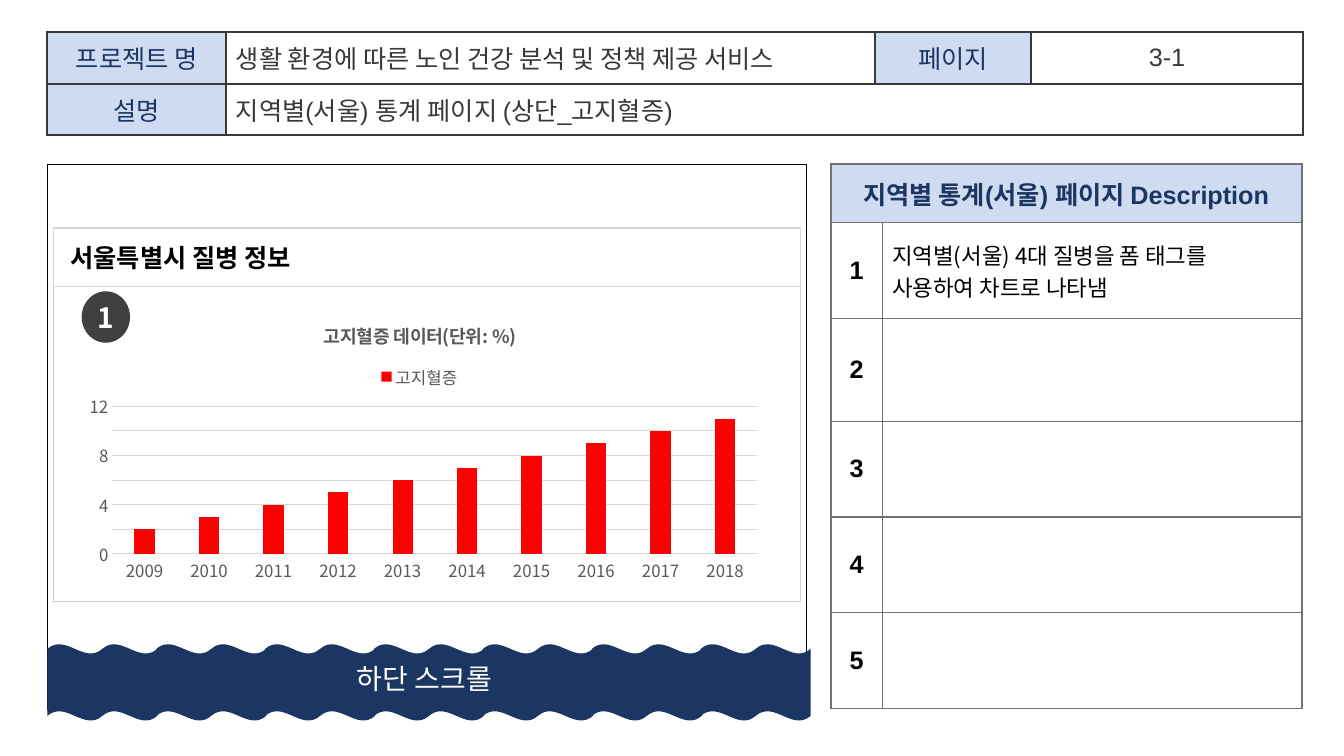
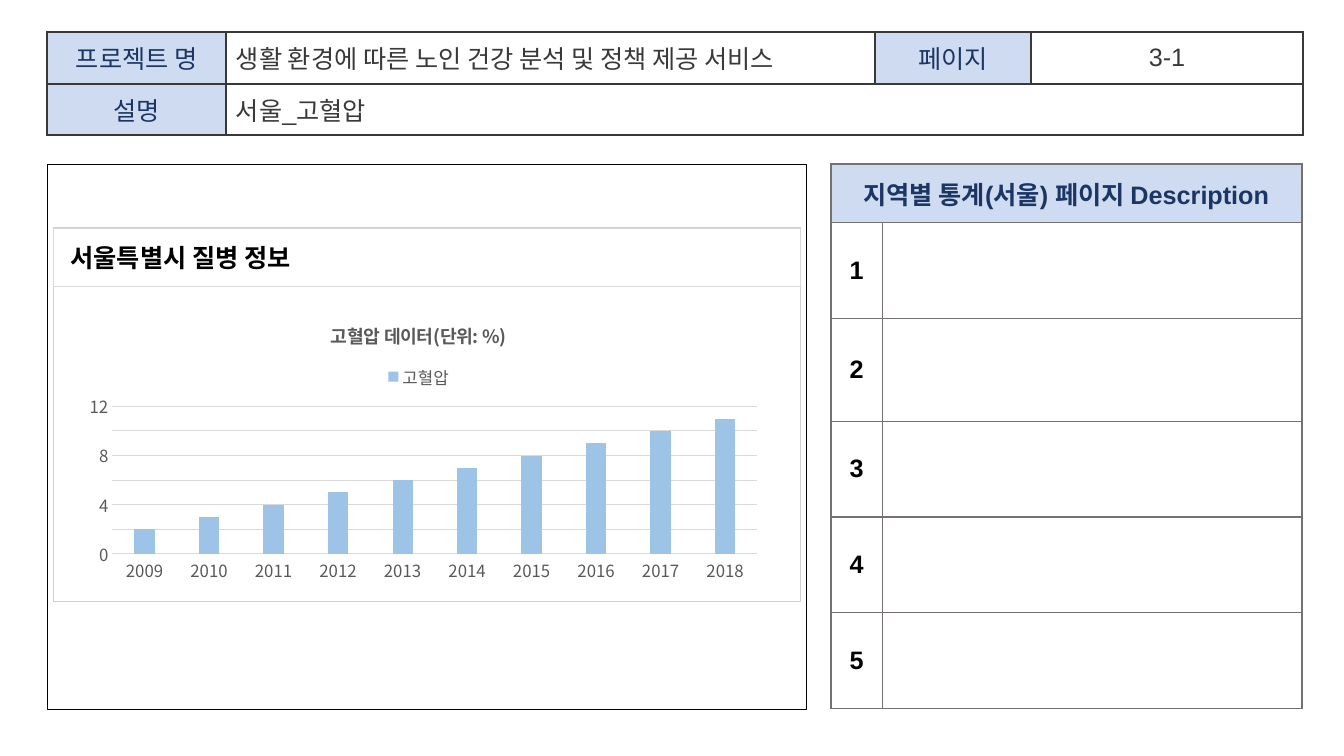
"""Build two storyboard slides showing Seoul disease statistics."""
from dataclasses import dataclass
from typing import NamedTuple

from lxml import etree
from pptx import Presentation
from pptx.chart.data import CategoryChartData
from pptx.dml.color import RGBColor
from pptx.enum.chart import XL_CHART_TYPE as ChartType
from pptx.enum.chart import XL_LEGEND_POSITION as LegendPos
from pptx.enum.chart import XL_TICK_MARK as Tick
from pptx.enum.shapes import MSO_SHAPE as Shape
from pptx.enum.text import MSO_ANCHOR as Anchor
from pptx.enum.text import PP_ALIGN as Align
from pptx.oxml.ns import qn
from pptx.util import Inches, Pt

NAVY = RGBColor(0x1C, 0x36, 0x64)
PALE_BLUE = RGBColor(0xCF, 0xDB, 0xF0)
WHITE = RGBColor(0xFF, 0xFF, 0xFF)
BLACK = RGBColor(0, 0, 0)
INK = RGBColor(0x3B, 0x38, 0x38)
CHARCOAL = RGBColor(0x40, 0x40, 0x40)
CHART_TEXT = RGBColor(0x59, 0x59, 0x59)
TABLE_GREY = RGBColor(0x76, 0x71, 0x71)
PANEL_GREY = RGBColor(0xD0, 0xCE, 0xCE)
LIGHT_GREY = RGBColor(0xD9, 0xD9, 0xD9)
RED = RGBColor(0xFF, 0, 0)
SKY_BLUE = RGBColor(0x9D, 0xC3, 0xE6)

LATIN = "Arial"
KOREAN = "Noto Sans CJK KR"
PROJECT = "생활 환경에 따른 노인 건강 분석 및 정책 제공 서비스"
YEARS = [str(year) for year in range(2009, 2019)]
RATES = list(range(2, 12))
WAVE_COUNT = 7
WAVE_PITCH = 1.08


class Box(NamedTuple):
    left: float
    top: float
    width: float
    height: float

    def lengths(self) -> list:
        return [Inches(v) for v in self]


class Style(NamedTuple):
    color: RGBColor
    size: float = 18
    bold: bool = False
    font: str = LATIN


class Cell(NamedTuple):
    text: str
    style: Style
    fill: RGBColor = WHITE
    align: Align = Align.LEFT
    span: int = 1


class Borders(NamedTuple):
    color: RGBColor
    outer: float
    inner: float


@dataclass(frozen=True)
class Page:
    summary: str
    disease: str
    bar_color: RGBColor
    title_x: float
    note: str = ""
    scrolls: bool = False


LABEL = Style(NAVY)
VALUE = Style(INK)
HEADING = Style(NAVY, bold=True)
NUMBER = Style(BLACK, bold=True)
NOTE = Style(BLACK, 16, font=KOREAN)

PAGES = [
    Page("지역별(서울) 통계 페이지 (상단_고지혈증)", "고지혈증", RED, 0.35,
         "지역별(서울) 4대 질병을 폼 태그를 사용하여 차트로 나타냄", True),
    Page("서울_고혈압", "고혈압", SKY_BLUE, 0.36),
]


def add_run(p, text: str, style: Style) -> None:
    r = p.add_run()
    r.text = text
    r.font.size = Pt(style.size)
    r.font.bold = style.bold
    r.font.color.rgb = style.color
    r.font.name = style.font
    etree.SubElement(r.font._element, qn("a:ea"), typeface=KOREAN)


def write(tf, text: str, style: Style, align: Align) -> None:
    tf.vertical_anchor = Anchor.MIDDLE
    p = tf.paragraphs[0]
    p.alignment = align
    add_run(p, text, style)


def add_shape(slide, kind: Shape, box: Box, fill: RGBColor | None = None,
              line: RGBColor | None = None, weight: float = 1):
    sp = slide.shapes.add_shape(kind, *box.lengths())
    sp.shadow.inherit = False
    if fill is None:
        sp.fill.background()
    else:
        sp.fill.solid()
        sp.fill.fore_color.rgb = fill
    if line is None:
        sp.line.fill.background()
    else:
        sp.line.color.rgb = line
        sp.line.width = Pt(weight)
    return sp


def set_borders(cell, color: RGBColor, weights: dict[str, float]) -> None:
    tc_pr = cell._tc.get_or_add_tcPr()
    for i, (side, weight) in enumerate(weights.items()):
        ln = etree.Element(qn(f"a:ln{side}"), w=str(Pt(weight)))
        fill = etree.SubElement(ln, qn("a:solidFill"))
        etree.SubElement(fill, qn("a:srgbClr"), val=str(color))
        tc_pr.insert(i, ln)


def add_table(slide, box: Box, widths: list[float], heights: list[float],
              rows: list[list[Cell]], borders: Borders) -> None:
    n_rows, n_cols = len(heights), len(widths)
    table = slide.shapes.add_table(n_rows, n_cols, *box.lengths()).table
    table.first_row = table.horz_banding = False
    for column, width in zip(table.columns, widths):
        column.width = Inches(width)
    for row, height in zip(table.rows, heights):
        row.height = Inches(height)
    for y, row in enumerate(rows):
        x = 0
        for item in row:
            end = x + item.span
            cell = table.cell(y, x)
            if item.span > 1:
                cell.merge(table.cell(y, end - 1))
            cell.vertical_anchor = Anchor.MIDDLE
            if item.text:
                p = cell.text_frame.paragraphs[0]
                p.alignment = item.align
                add_run(p, item.text, item.style)
            edges = {"L": x == 0, "R": end == n_cols,
                     "T": y == 0, "B": y == n_rows - 1}
            weights = {side: borders.outer if outer else borders.inner
                       for side, outer in edges.items()}
            for i in range(x, end):
                part = table.cell(y, i)
                part.fill.solid()
                part.fill.fore_color.rgb = item.fill
                set_borders(part, borders.color, weights)
            x = end


def add_header(slide, page: Page) -> None:
    def label(text: str) -> Cell:
        return Cell(text, LABEL, PALE_BLUE, Align.CENTER)

    rows = [
        [label("프로젝트 명"), Cell(PROJECT, VALUE), label("페이지"),
         Cell("3-1", VALUE, align=Align.CENTER)],
        [label("설명"), Cell(page.summary, VALUE, span=3)],
    ]
    add_table(slide, Box(0.47, 0.32, 12.45, 1.02), [1.77, 6.44, 1.55, 2.69],
              [0.51] * 2, rows, Borders(INK, 1.5, 1.5))


def add_description(slide, page: Page) -> None:
    rows = [[Cell("지역별 통계(서울) 페이지 Description", HEADING, PALE_BLUE,
                  Align.CENTER, 2)]]
    for i, note in enumerate([page.note, "", "", "", ""], 1):
        rows.append([Cell(str(i), NUMBER, align=Align.CENTER),
                     Cell(note, NOTE)])
    add_table(slide, Box(8.24, 1.63, 4.67, 5.41), [0.51, 4.16],
              [0.58, 0.95, 1.02, 0.95, 0.95, 0.95], rows,
              Borders(TABLE_GREY, 1.5, 1))


def make_layout(inner: bool = False, **parts: float):
    layout = etree.Element(qn("c:layout"))
    manual = etree.SubElement(layout, qn("c:manualLayout"))
    if inner:
        etree.SubElement(manual, qn("c:layoutTarget"), val="inner")
    for axis in "xy":
        etree.SubElement(manual, qn(f"c:{axis}Mode"), val="edge")
    for name, value in parts.items():
        etree.SubElement(manual, qn(f"c:{name}"), val=f"{value:.2f}")
    return layout


def place_parts(chart, title_x: float) -> None:
    root = chart.element
    layouts = {
        "title": make_layout(x=title_x, y=0.06),
        "legend": make_layout(x=title_x + 0.08, y=0.21),
        "plotArea": make_layout(True, x=0.05, y=0.37, w=0.93, h=0.51),
    }
    for name, layout in layouts.items():
        part = root.find(".//" + qn(f"c:{name}"))
        for old in part.findall(qn("c:layout")):
            part.remove(old)
        part.insert(0 if name == "plotArea" else 1, layout)


def style_font(font, size: float, color: RGBColor) -> None:
    font.size = Pt(size)
    font.name = KOREAN
    font.color.rgb = color


def add_disease_chart(slide, page: Page) -> None:
    data = CategoryChartData()
    data.categories = YEARS
    data.add_series(page.disease, RATES)
    chart = slide.shapes.add_chart(
        ChartType.COLUMN_CLUSTERED, *Box(0.77, 2.97, 6.88, 2.87).lengths(),
        data).chart
    style_font(chart.font, 10, BLACK)
    chart.has_title = True
    add_run(chart.chart_title.text_frame.paragraphs[0],
            f"{page.disease} 데이터(단위: %)",
            Style(CHART_TEXT, 13, True, KOREAN))
    chart.has_legend = True
    chart.legend.position = LegendPos.TOP
    chart.legend.include_in_layout = False
    style_font(chart.legend.font, 12, CHART_TEXT)

    plot = chart.plots[0]
    plot.vary_by_categories = False
    plot.gap_width = 219
    plot.overlap = -27
    bars = plot.series[0].format.fill
    bars.solid()
    bars.fore_color.rgb = page.bar_color

    years, rates = chart.category_axis, chart.value_axis
    for axis in (years, rates):
        axis.major_tick_mark = axis.minor_tick_mark = Tick.NONE
        style_font(axis.tick_labels.font, 12, CHART_TEXT)
    rates.minimum_scale, rates.maximum_scale, rates.major_unit = 0, 12, 2
    rates.format.line.fill.background()
    for line in (years.format.line, rates.major_gridlines.format.line):
        line.color.rgb = LIGHT_GREY
        line.width = Pt(0.75)
    place_parts(chart, page.title_x)


def add_panel(slide, page: Page) -> None:
    add_shape(slide, Shape.RECTANGLE, Box(0.53, 2.26, 7.41, 3.71),
              line=PANEL_GREY)
    heading = add_shape(slide, Shape.RECTANGLE, Box(0.53, 2.27, 7.41, 0.57),
                        line=LIGHT_GREY)
    heading.text_frame.margin_left = Inches(0.17)
    write(heading.text_frame, "서울특별시 질병 정보",
          Style(BLACK, bold=True), Align.LEFT)
    add_disease_chart(slide, page)


def add_marker(slide) -> None:
    tf = add_shape(slide, Shape.OVAL, Box(0.81, 2.89, 0.48, 0.51),
                   CHARCOAL).text_frame
    tf.margin_left = tf.margin_right = 0
    write(tf, "1", Style(WHITE, 20, True, KOREAN), Align.CENTER)


def add_scroll_band(slide) -> None:
    for i in range(WAVE_COUNT):
        add_shape(slide, Shape.DOUBLE_WAVE,
                  Box(0.47 + i * WAVE_PITCH, 6.39, 1.09, 0.76), NAVY)
    tf = slide.shapes.add_textbox(
        *Box(3.36, 6.51, 1.7, 0.44).lengths()).text_frame
    tf.word_wrap = False
    write(tf, "하단 스크롤", Style(WHITE, 20, font=KOREAN), Align.CENTER)


def main() -> None:
    prs = Presentation()
    prs.slide_width, prs.slide_height = Inches(13.33), Inches(7.5)
    for page in PAGES:
        slide = prs.slides.add_slide(prs.slide_layouts[6])
        add_shape(slide, Shape.RECTANGLE, Box(0.47, 1.63, 7.53, 5.41),
                  line=BLACK, weight=0)
        add_description(slide, page)
        add_panel(slide, page)
        if page.scrolls:
            add_marker(slide)
            add_scroll_band(slide)
        add_header(slide, page)
    prs.save("out.pptx")


if __name__ == "__main__":
    main()
